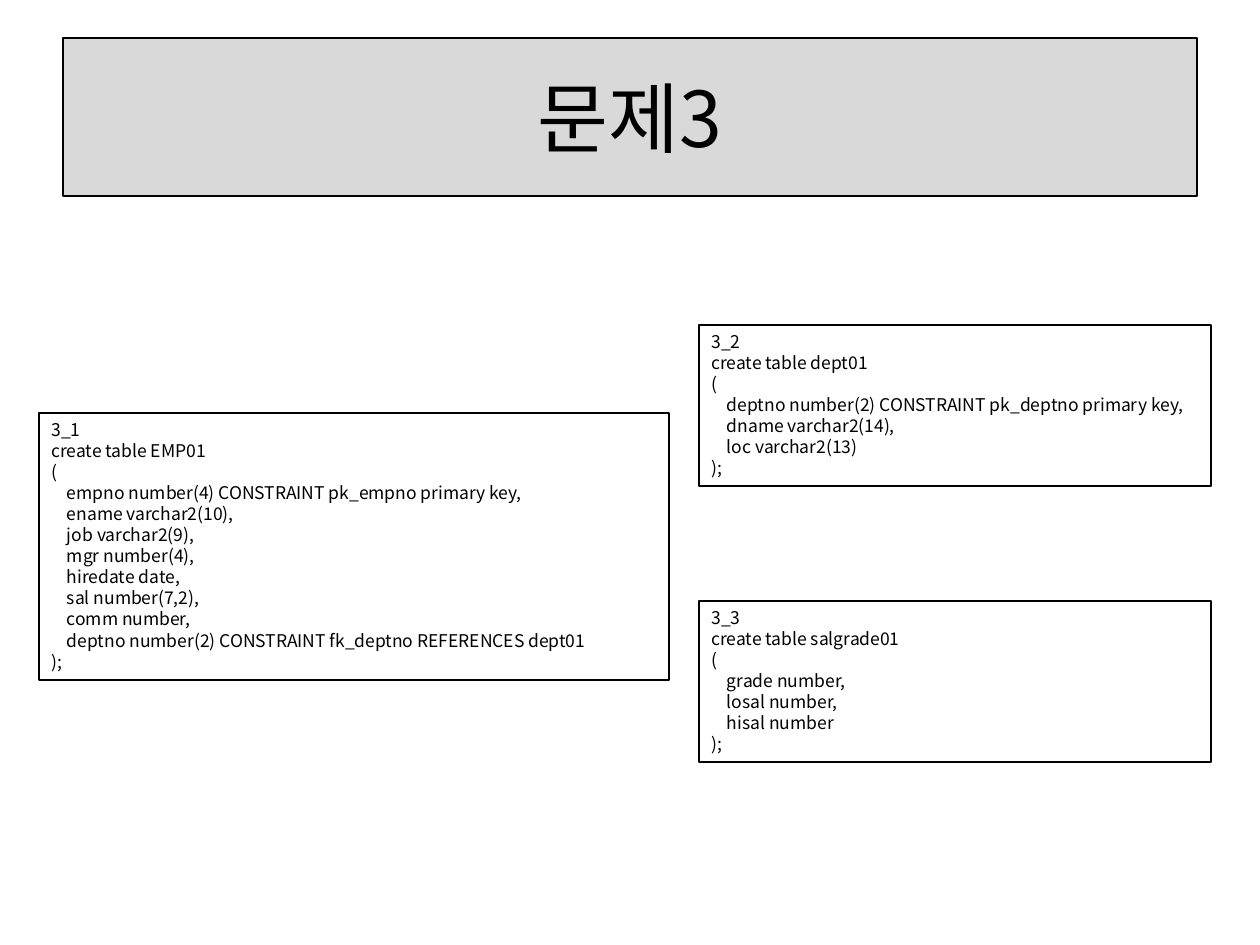
from dataclasses import dataclass

import pptx
import pptx.dml.color
import pptx.enum.dml
import pptx.enum.shapes
import pptx.enum.text
import pptx.oxml
import pptx.oxml.ns
import pptx.util

PIXEL = 914400 / 126
FONT = "Noto Sans CJK KR"
BLACK = "000000"
GRAY = "D9D9D9"
INDENT = "    "


@dataclass(frozen=True)
class Area:
    left: int
    top: int
    width: int
    height: int


@dataclass(frozen=True)
class Answer:
    label: str
    table: str
    columns: tuple[str, ...]
    area: Area

    def lines(self) -> list[str]:
        body = ",\n".join(INDENT + column for column in self.columns)
        return [self.label, f"create table {self.table}", "(", *body.split("\n"), ");"]


TITLE_AREA = Area(63, 38, 1134, 158)
ANSWERS = (
    Answer(
        "3_1",
        "EMP01",
        (
            "empno number(4) CONSTRAINT pk_empno primary key",
            "ename varchar2(10)",
            "job varchar2(9)",
            "mgr number(4)",
            "hiredate date",
            "sal number(7,2)",
            "comm number",
            "deptno number(2) CONSTRAINT fk_deptno REFERENCES dept01",
        ),
        Area(39, 413, 630, 267),
    ),
    Answer(
        "3_2",
        "dept01",
        (
            "deptno number(2) CONSTRAINT pk_deptno primary key",
            "dname varchar2(14)",
            "loc varchar2(13)",
        ),
        Area(699, 325, 512, 161),
    ),
    Answer(
        "3_3",
        "salgrade01",
        ("grade number", "losal number", "hisal number"),
        Area(699, 601, 512, 161),
    ),
)


def px(length: int) -> pptx.util.Emu:
    return pptx.util.Emu(round(length * PIXEL))


def color(value: str) -> pptx.dml.color.RGBColor:
    return pptx.dml.color.RGBColor.from_string(value)


def apply(target: object, values: dict[str, object]) -> None:
    for name, value in values.items():
        setattr(target, name, value)


def place(box, area: Area) -> None:
    names = ("left", "top", "width", "height")
    apply(box, {name: px(getattr(area, name)) for name in names})


def outline(box) -> None:
    box.line.color.rgb = color(BLACK)
    box.line.width = pptx.util.Pt(0.75)


def write(para, text: str, size: int) -> None:
    span = para.add_run()
    span.text = text
    apply(span.font, {"name": FONT, "size": pptx.util.Pt(size)})
    span.font.color.rgb = color(BLACK)
    asian = pptx.oxml.parse_xml(
        f'<a:ea {pptx.oxml.ns.nsdecls("a")} typeface="{FONT}"/>'
    )
    span.font._element.find(pptx.oxml.ns.qn("a:latin")).addnext(asian)


def draw_title(page, text: str) -> None:
    box = page.shapes.title
    place(box, TITLE_AREA)
    outline(box)
    box.fill.solid()
    box.fill.fore_color.rgb = color(GRAY)
    box.text_frame.vertical_anchor = pptx.enum.text.MSO_ANCHOR.MIDDLE
    para = box.text_frame.paragraphs[0]
    para.alignment = pptx.enum.text.PP_ALIGN.CENTER
    write(para, text, 44)


def draw_answer(page, answer: Answer) -> None:
    area = answer.area
    box = page.shapes.add_textbox(
        px(area.left), px(area.top), px(area.width), px(area.height)
    )
    outline(box)
    frame = box.text_frame
    apply(
        frame,
        {"word_wrap": True, "auto_size": pptx.enum.text.MSO_AUTO_SIZE.SHAPE_TO_FIT_TEXT},
    )
    for index, line in enumerate(answer.lines()):
        para = frame.add_paragraph() if index else frame.paragraphs[0]
        write(para, line, 10)


def main() -> None:
    deck = pptx.Presentation()
    apply(deck, {"slide_width": px(1260), "slide_height": px(945)})
    page = deck.slides.add_slide(deck.slide_layouts[5])
    draw_title(page, "문제3")
    for answer in ANSWERS:
        draw_answer(page, answer)
    deck.save("out.pptx")


if __name__ == "__main__":
    main()
